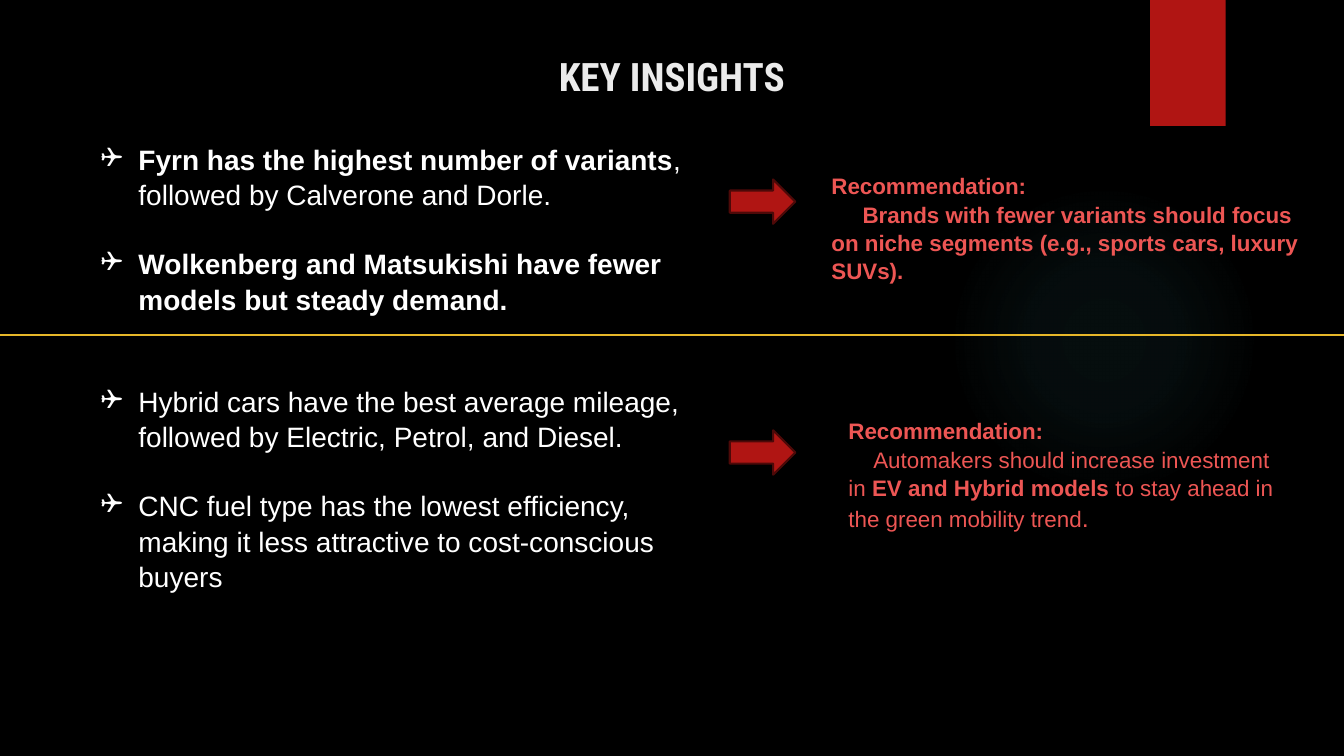
from lxml import etree
from pptx import Presentation
from pptx.dml.color import RGBColor
from pptx.enum.shapes import MSO_CONNECTOR, MSO_SHAPE
from pptx.enum.text import PP_ALIGN
from pptx.oxml import parse_xml
from pptx.oxml.ns import qn
from pptx.util import Pt

STRAIGHT = MSO_CONNECTOR.STRAIGHT
RECTANGLE, OVAL, RIGHT_ARROW = MSO_SHAPE.RECTANGLE, MSO_SHAPE.OVAL, MSO_SHAPE.RIGHT_ARROW
CENTER = PP_ALIGN.CENTER

BLACK = RGBColor(0x00, 0x00, 0x00)
WHITE = RGBColor(0xFF, 0xFF, 0xFF)
TITLE_GRAY = RGBColor(0xEB, 0xEB, 0xEB)
RED = RGBColor(0xB0, 0x15, 0x13)
DARK_RED = RGBColor(0x4D, 0x09, 0x08)
CORAL = RGBColor(0xED, 0x56, 0x54)
GOLD = RGBColor(0xE6, 0xB7, 0x29)
GLOW_TEAL = "50B9C1"
GLOW_STOPS = [(0, 7), (36, 6), (69, 0)]  # position and opacity, percent
BULLET_INDENT = 27

# Each paragraph is a list of (text, bold, size)
INSIGHTS = [
    (97.2, 480, 153, [
        [("Fyrn has the highest number of variants", True, 20),
         (", followed by Calverone and Dorle.", False, 20)],
        [("Wolkenberg and Matsukishi have fewer models but steady demand.", True, 20)]]),
    (270, 456.5, 196.5, [
        [("Hybrid cars have the best average mileage, followed by Electric, Petrol, and Diesel.",
          False, 20)],
        [("CNC fuel type has the lowest efficiency, making it less attractive to "
          "cost-conscious buyers", False, 20)]]),
]
RECOMMENDATIONS = [
    (586.8, 118.8, 354.2, 65.5, 22.2, [
        [("Recommendation:", True, 16)],
        [("Brands with fewer variants should focus on niche segments "
          "(e.g., sports cars, luxury SUVs).", True, 16)]]),
    (599, 293.8, 326.9, 87.1, 17.8, [
        [("Recommendation:", True, 16)],
        [("Automakers should increase investment in ", False, 16),
         ("EV and Hybrid models", True, 16),
         (" to stay ahead in the green mobility trend", False, 16),
         (".", False, 18)]]),
]


def add_text(left, top, width, height, paragraphs, color, font="Arial", spacing=1.05):
    box = slide.shapes.add_textbox(Pt(left), Pt(top), Pt(width), Pt(height))
    frame = box.text_frame
    frame.word_wrap = True
    for index, pieces in enumerate(paragraphs):
        para = frame.paragraphs[0] if index == 0 else frame.add_paragraph()
        para.line_spacing = spacing
        for text, bold, size in pieces:
            span = para.add_run()
            span.text = text
            span.font.name = font
            span.font.size = Pt(size)
            span.font.bold = bold
            span.font.color.rgb = color
    return frame.paragraphs


def add_solid(kind, left, top, width, height):
    shape = slide.shapes.add_shape(kind, Pt(left), Pt(top), Pt(width), Pt(height))
    shape.shadow.inherit = False
    shape.fill.solid()
    shape.fill.fore_color.rgb = RED
    shape.line.fill.background()
    return shape


deck = Presentation()
deck.slide_width, deck.slide_height = Pt(960), Pt(540)
slide = deck.slides.add_slide(deck.slide_layouts[6])
slide.background.fill.solid()
slide.background.fill.fore_color.rgb = BLACK

# Soft round glow
glow = add_solid(OVAL, 677.5, 131.8, 221.8, 221.8)
stops = "".join(
    f'<a:gs pos="{position * 1000}"><a:srgbClr val="{GLOW_TEAL}">'
    f'<a:alpha val="{opacity * 1000}"/></a:srgbClr></a:gs>'
    for position, opacity in GLOW_STOPS)
gradient = parse_xml(
    '<a:gradFill xmlns:a="http://schemas.openxmlformats.org/drawingml/2006/main">'
    f'<a:gsLst>{stops}</a:gsLst><a:path path="circle">'
    '<a:fillToRect l="50000" t="50000" r="50000" b="50000"/></a:path></a:gradFill>')
glow_properties = glow.element.spPr
glow_properties.replace(glow_properties.find(qn("a:solidFill")), gradient)

add_solid(RECTANGLE, 821.5, 0, 54, 90)

title = add_text(109.4, 33.8, 740.9, 110.2, [[("KEY INSIGHTS", True, 28)]],
                 TITLE_GRAY, "Roboto Condensed", 1)
title[0].alignment = CENTER

for top, width, height, paragraphs in INSIGHTS:
    for index, para in enumerate(add_text(64.8, top, width, height, paragraphs, WHITE)):
        para.space_before = Pt(24 * index)
        properties = para._p.get_or_add_pPr()
        properties.set("marL", str(Pt(BULLET_INDENT)))
        properties.set("indent", str(-Pt(BULLET_INDENT)))
        etree.SubElement(properties, qn("a:buFont")).set("typeface", "Wingdings")
        etree.SubElement(properties, qn("a:buChar")).set("char", "❑")

for left, top, width, height, indent, paragraphs in RECOMMENDATIONS:
    advice = add_text(left, top, width, height, paragraphs, CORAL)[1]
    advice._p.get_or_add_pPr().set("indent", str(Pt(indent)))

for top in (128.2, 307.4):
    arrow = add_solid(RIGHT_ARROW, 521.3, top, 46.8, 31.7)
    arrow.line.color.rgb = DARK_RED
    arrow.line.width = Pt(1.5)

divider = slide.shapes.add_connector(STRAIGHT, Pt(0), Pt(239.5), Pt(960), Pt(239.5))
divider.line.color.rgb = GOLD
divider.line.width = Pt(1.5)
etree.SubElement(divider.element.spPr, qn("a:effectLst"))

deck.save("out.pptx")
